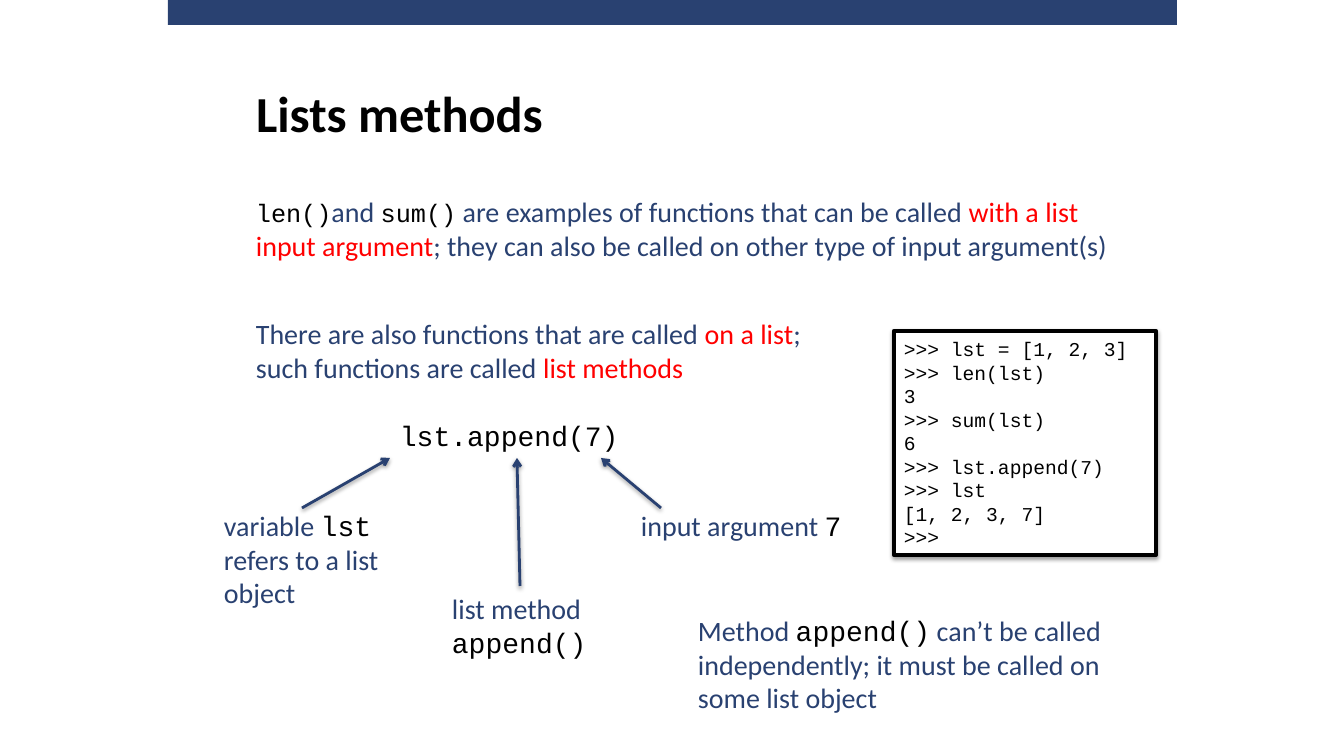
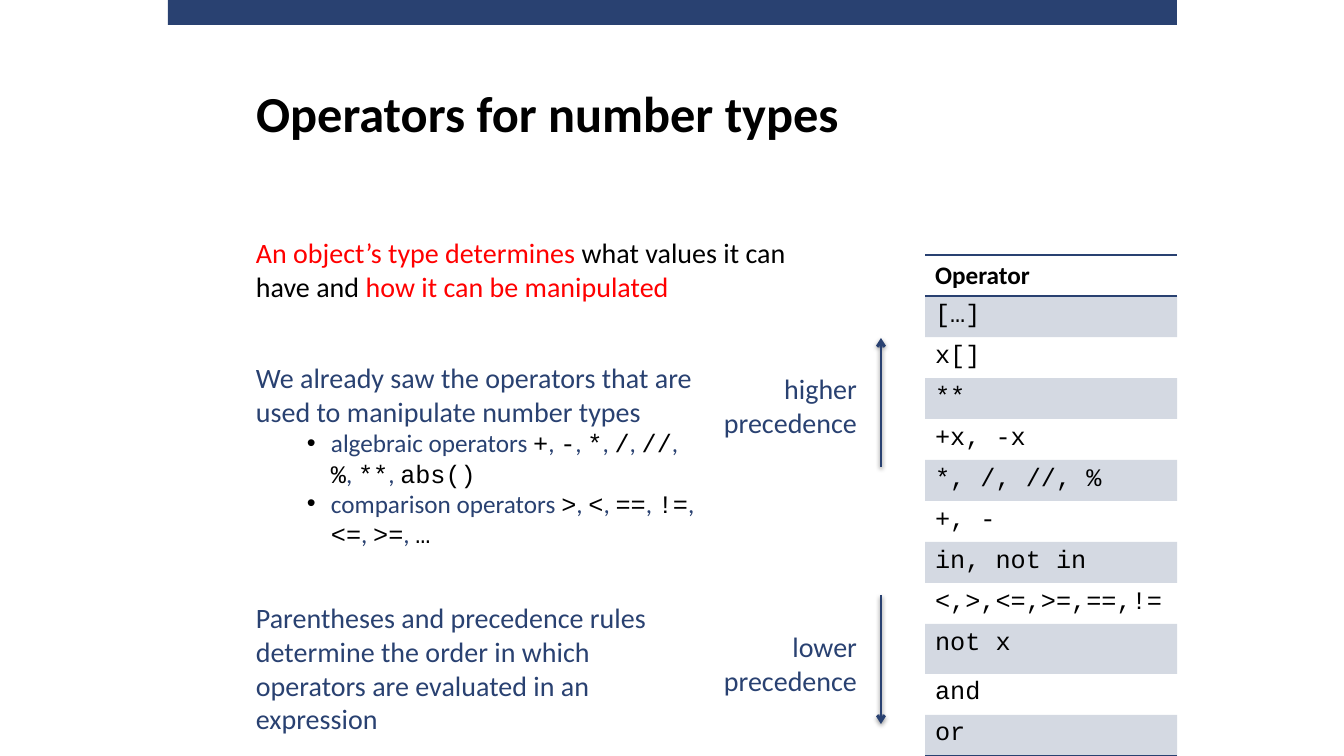
from lxml.etree import SubElement
from pptx import Presentation
from pptx.dml.color import RGBColor
from pptx.enum.shapes import MSO_CONNECTOR, MSO_SHAPE
from pptx.enum.text import MSO_ANCHOR, MSO_AUTO_SIZE, PP_ALIGN
from pptx.oxml.ns import qn
from pptx.util import Emu, Pt

EMU_PER_PIXEL = 914400 / 100.8
BLUE, RED, BLACK, WHITE = "294171", "FF0000", "000000", "FFFFFF"
STYLES = {
    "blue": {"name": "Calibri", "color": BLUE},
    "red": {"name": "Calibri", "color": RED},
    "black": {"name": "Calibri", "color": BLACK},
    "title": {"name": "Calibri", "color": BLACK, "bold": True},
    "code": {"name": "Courier New", "color": BLACK},
}
NO_TABLE_STYLE = "{2D5ABB26-0587-4C30-8999-92F81FD0307C}"
LEFT = 246
ROW_HEIGHT, TALL_ROW_HEIGHT = 41, 50


def px(value):
    """Turn picture pixels into EMU."""
    return Emu(round(value * EMU_PER_PIXEL))


def rgb(value):
    """Turn a hex string into a colour."""
    return RGBColor.from_string(value)


def add_element(parent, tag, **attributes):
    """Append a drawing element to a parent."""
    return SubElement(parent, qn(tag), attributes)


def add_solid_fill(parent, color):
    """Append a solid fill to an element."""
    fill = add_element(parent, "a:solidFill")
    return add_element(fill, "a:srgbClr", val=color)


def add_shadow(shape):
    """Give an outlined shape a soft shadow below it."""
    effects = add_element(shape._element.spPr, "a:effectLst")
    shadow = add_element(effects, "a:outerShdw", blurRad="40000", dist="20000",
                         dir="5400000", rotWithShape="0")
    color = add_element(shadow, "a:srgbClr", val=BLACK)
    add_element(color, "a:alpha", val="38000")


def write_runs(paragraph, runs, size):
    """Write (text, style) or (text, style, size) runs in a paragraph."""
    for text, style, *own_size in runs:
        run = paragraph.add_run()
        run.text = text
        values = {"size": Pt(own_size[0] if own_size else size), **STYLES[style]}
        run.font.color.rgb = rgb(values.pop("color"))
        for name, value in values.items():
            setattr(run.font, name, value)


def write_paragraphs(frame, paragraphs, size, align=PP_ALIGN.LEFT):
    """Fill a text frame with paragraphs, each a list of runs."""
    for index, runs in enumerate(paragraphs):
        paragraph = frame.add_paragraph() if index else frame.paragraphs[0]
        paragraph.alignment = align
        write_runs(paragraph, runs, size)


def add_text(slide, box, paragraphs, wrap=True, align=PP_ALIGN.LEFT):
    """Add a text box of 20 point text and return its frame."""
    frame = slide.shapes.add_textbox(*map(px, box)).text_frame
    values = {"word_wrap": wrap, "vertical_anchor": MSO_ANCHOR.MIDDLE,
              "auto_size": MSO_AUTO_SIZE.SHAPE_TO_FIT_TEXT}
    for name, value in values.items():
        setattr(frame, name, value)
    write_paragraphs(frame, paragraphs, 20, align)
    return frame


def add_bullet(frame, label, operators):
    """Add a bullet with a label and operators parted by commas."""
    paragraph = frame.add_paragraph()
    paragraph.level = 1
    properties = paragraph._p.get_or_add_pPr()
    properties.set("marL", str(px(75)))
    properties.set("indent", str(px(-24)))
    add_element(add_element(properties, "a:buClr"), "a:srgbClr", val=BLACK)
    add_element(properties, "a:buFont", typeface="Arial")
    add_element(properties, "a:buChar", char="•")
    runs = [(label, "blue")]
    for index, operator in enumerate(operators):
        if index:
            runs.append((", ", "blue"))
        runs.append((operator, "code"))
    write_runs(paragraph, runs, 18)


def add_arrow(slide, start, end):
    """Add a shadowed arrow that points at its end."""
    arrow = slide.shapes.add_connector(MSO_CONNECTOR.STRAIGHT, *map(px, start + end))
    arrow.line.color.rgb = rgb(BLUE)
    arrow.line.width = Pt(2)
    add_element(arrow.line._get_or_add_ln(), "a:tailEnd", type="arrow")
    add_shadow(arrow)


def add_rectangle(slide, box, color):
    """Add a plain filled rectangle."""
    shape = slide.shapes.add_shape(MSO_SHAPE.RECTANGLE, *map(px, box))
    shape.fill.solid()
    shape.fill.fore_color.rgb = rgb(color)
    return shape


def add_code_box(slide, box, lines):
    """Add a framed box with an interpreter session."""
    shape = add_rectangle(slide, box, WHITE)
    shape.line.color.rgb = rgb(BLACK)
    shape.line.width = Pt(3)
    add_shadow(shape)
    shape.text_frame.word_wrap = True
    shape.text_frame.vertical_anchor = MSO_ANCHOR.MIDDLE
    write_paragraphs(shape.text_frame, [[(line, "code")] for line in lines], 14)


def format_cell(cell, shaded, borders):
    """Set the borders of a cell and its fill."""
    properties = cell._tc.get_or_add_tcPr()
    for tag in borders:
        add_solid_fill(add_element(properties, tag, w="12700"), BLUE)
    if shaded:
        add_element(add_solid_fill(properties, BLUE), "a:alpha", val="20000")
    else:
        cell.fill.background()


def add_operator_table(slide, left, top, width, operators):
    """Add a one-column table, shaded in every second row."""
    rows = ["Operator"] + operators
    heights = [TALL_ROW_HEIGHT if text == "not x" else ROW_HEIGHT for text in rows]
    box = (left, top, width, sum(heights))
    table = slide.shapes.add_table(len(rows), 1, *map(px, box)).table
    table.horz_banding = False
    table._tbl.tblPr.find(qn("a:tableStyleId")).text = NO_TABLE_STYLE
    borders = {0: ["a:lnT", "a:lnB"], len(rows) - 1: ["a:lnB"]}
    for index, (text, height) in enumerate(zip(rows, heights)):
        table.rows[index].height = px(height)
        cell = table.cell(index, 0)
        format_cell(cell, index % 2 == 1, borders.get(index, []))
        style = "code" if index else "title"
        write_paragraphs(cell.text_frame, [[(text, style)]], 18)


def add_slide(presentation, title):
    """Add a slide with the top band and a title."""
    slide = presentation.slides.add_slide(presentation.slide_layouts[5])
    band = add_rectangle(slide, (168, 0, 1009, 25), BLUE)
    band.line.fill.background()
    band.shadow.inherit = False
    shape = slide.shapes.title
    shape.left, shape.top, shape.width, shape.height = map(px, (LEFT, 0, 857, 162))
    values = {"margin_top": px(67), "vertical_anchor": MSO_ANCHOR.MIDDLE,
              "word_wrap": True, "auto_size": MSO_AUTO_SIZE.NONE}
    for name, value in values.items():
        setattr(shape.text_frame, name, value)
    write_paragraphs(shape.text_frame, [[(title, "title")]], 36)
    return slide


def build_list_methods(presentation):
    """Build the slide on list methods."""
    slide = add_slide(presentation, "Lists methods")
    add_text(slide, (LEFT, 189, 893, 78), [[
        ("len()", "code", 18), ("and ", "blue"), ("sum()", "code", 18),
        (" are examples of functions that can be called ", "blue"),
        ("with a list input argument", "red"),
        ("; they can also be called on other type of input argument(s)", "blue")]])
    add_text(slide, (LEFT, 311, 631, 78), [
        [("There are also functions that are called ", "blue"),
         ("on a list", "red"), (";", "blue")],
        [("such functions are called ", "blue"), ("list methods", "red")]])
    add_text(slide, (390, 413, 241, 44), [[("lst.append(7)", "code")]], wrap=False)
    for start, end in (((302, 508), (390, 458)),
                       ((520, 586), (517, 458)),
                       ((661, 508), (601, 458))):
        add_arrow(slide, start, end)
    add_text(slide, (214, 503, 176, 112), [[
        ("variable ", "blue"), ("lst ", "code"),
        ("refers to a list object", "blue")]])
    add_text(slide, (631, 503, 223, 44), [[
        ("input argument ", "blue"), ("7", "code")]], wrap=False)
    add_text(slide, (442, 586, 156, 78), [
        [("list method", "blue")], [("append()", "code")]], wrap=False)
    add_text(slide, (688, 608, 452, 112), [[
        ("Method ", "blue"), ("append()", "code"),
        (" can’t be called independently; it must be called on some list object",
         "blue")]])
    add_code_box(slide, (894, 331, 262, 224), [
        ">>> lst = [1, 2, 3]", ">>> len(lst)", "3", ">>> sum(lst)", "6",
        ">>> lst.append(7)", ">>> lst", "[1, 2, 3, 7]", ">>>"])


def build_operators(presentation):
    """Build the slide on operators and their precedence."""
    slide = add_slide(presentation, "Operators for number types")
    frame = add_text(slide, (LEFT, 354, 460, 201), [[
        ("We already saw the operators that are used to manipulate number types",
         "blue")]])
    add_bullet(frame, "algebraic operators ",
               ["+", "-", "*", "/", "//", "%", "**", "abs()"])
    add_bullet(frame, "comparison operators ",
               [">", "<", "==", "!=", "<=", ">=", "…"])
    add_text(slide, (LEFT, 230, 598, 78), [[
        ("An object’s type determines ", "red"),
        ("what values it can have and ", "black"),
        ("how it can be manipulated", "red")]])
    add_operator_table(slide, 925, 255, 252, [
        "[…]", "x[]", "**", "+x, -x", "*, /, //, %", "+, -", "in, not in",
        "<,>,<=,>=,==,!=", "not x", "and", "or"])
    for word, top, start, end in (("higher", 366, 467, 338),
                                  ("lower", 624, 595, 724)):
        add_arrow(slide, (881, start), (881, end))
        add_text(slide, (709, top, 158, 78),
                 [[(word, "blue")], [("precedence", "blue")]],
                 wrap=False, align=PP_ALIGN.RIGHT)
    add_text(slide, (LEFT, 595, 460, 146), [[
        ("Parentheses and precedence rules determine the order in which "
         "operators are evaluated in an expression", "blue")]])


def main():
    """Build and save the presentation."""
    presentation = Presentation()
    presentation.slide_width, presentation.slide_height = px(1344), px(756)
    build_list_methods(presentation)
    build_operators(presentation)
    presentation.save("out.pptx")


main()
